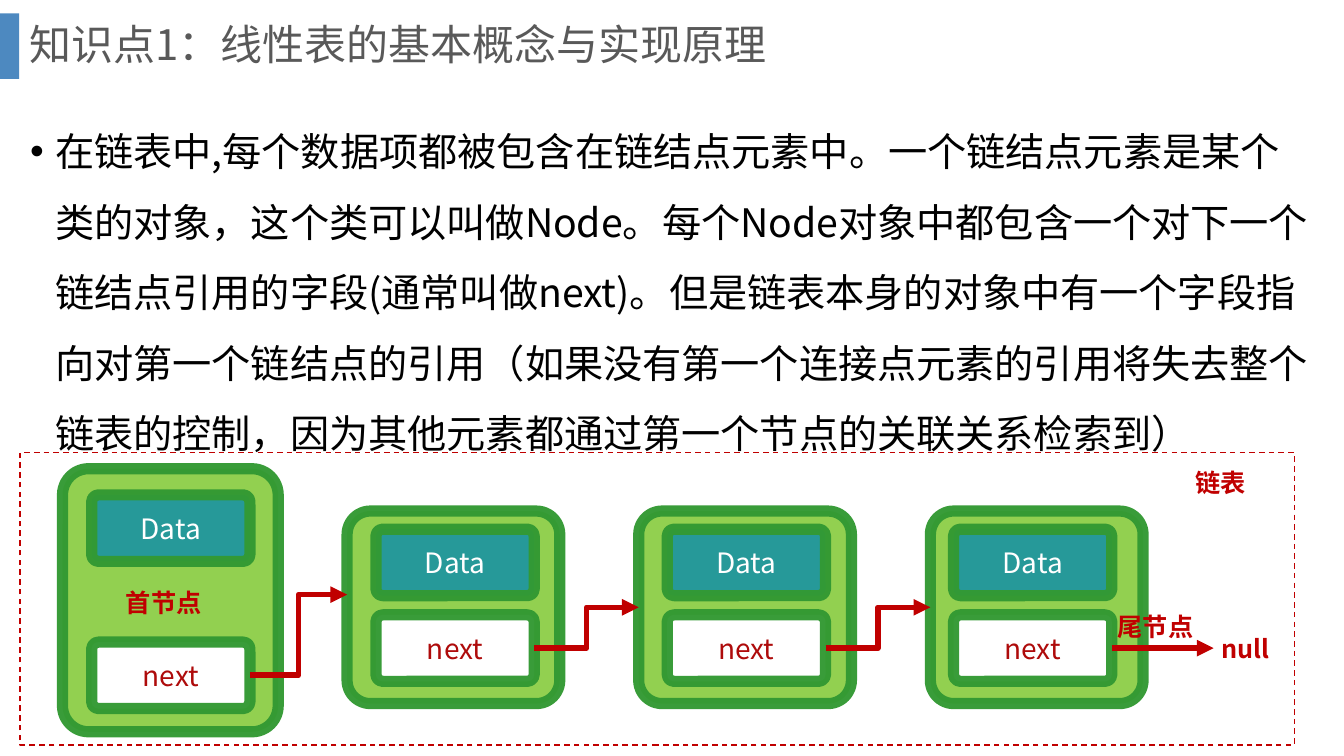
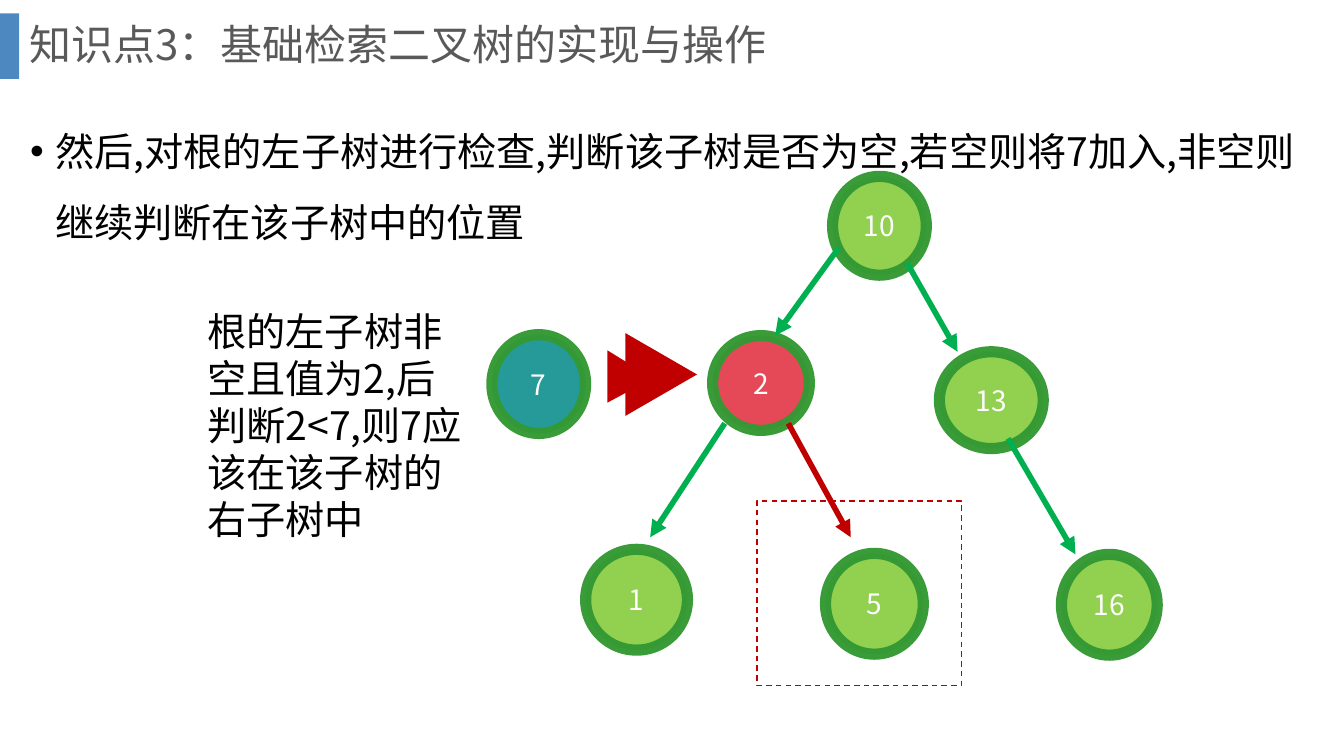
from dataclasses import dataclass
from typing import NamedTuple

from lxml import etree
from pptx import Presentation
from pptx.dml.color import RGBColor
from pptx.enum.dml import MSO_LINE
from pptx.enum.shapes import MSO_CONNECTOR, MSO_SHAPE
from pptx.enum.text import MSO_ANCHOR, MSO_AUTO_SIZE, PP_ALIGN
from pptx.oxml.ns import qn
from pptx.util import Emu, Inches, Pt

RECT, ROUND = MSO_SHAPE.RECTANGLE, MSO_SHAPE.ROUNDED_RECTANGLE
OVAL, TRIANGLE = MSO_SHAPE.OVAL, MSO_SHAPE.ISOSCELES_TRIANGLE
STRAIGHT, ELBOW = MSO_CONNECTOR.STRAIGHT, MSO_CONNECTOR.ELBOW
MIDDLE, TOP, CENTER = MSO_ANCHOR.MIDDLE, MSO_ANCHOR.TOP, PP_ALIGN.CENTER
LEFT_SIDE, RIGHT_SIDE = 1, 3

FONT = "Noto Sans CJK SC"
BLUE = RGBColor(0x2E, 0x75, 0xB6)
GREY = RGBColor(0x59, 0x59, 0x59)
BLACK = RGBColor(0, 0, 0)
WHITE = RGBColor(0xFF, 0xFF, 0xFF)
LIME = RGBColor(0x92, 0xD0, 0x50)
GREEN = RGBColor(0x33, 0x99, 0x33)
ARROW_GREEN = RGBColor(0x00, 0xB0, 0x50)
TEAL = RGBColor(0x26, 0x99, 0x99)
ROSE = RGBColor(0xE5, 0x49, 0x58)
RED = RGBColor(0xC0, 0x00, 0x00)
DARK_RED = RGBColor(0xAE, 0x0B, 0x0B)

TITLE = {"size": Pt(30), "color": GREY}
BODY = {"size": Pt(28), "color": BLACK}
LABEL = {"size": Pt(18), "color": RED, "bold": True}
ON_FILL = {"size": Pt(20), "color": WHITE}
ON_WHITE = {"size": Pt(20), "color": DARK_RED}

# The slide is a grid of square cells
COLS, ROWS = 40, 22.5
WIDTH, HEIGHT = Inches(13.333), Inches(7.5)


class Box(NamedTuple):
    """Left, top, width and height in grid cells."""
    x: float
    y: float
    w: float
    h: float

    def emu(self) -> tuple:
        return col(self.x), row(self.y), col(self.w), row(self.h)


@dataclass
class ListNode:
    box: Box
    cell_x: float
    data_y: float
    next_y: float


class TreeNode(NamedTuple):
    value: str
    box: Box
    fill: RGBColor = LIME


class Edge(NamedTuple):
    x1: float
    y1: float
    x2: float
    y2: float
    color: RGBColor = ARROW_GREEN


CELL_W, CELL_H = 4.71, 1.98
LINKED = [ListNode(Box(1.86, 13.95, 6.42, 7.83), 2.73, 14.73, 19.11)] + [
    ListNode(Box(10.33 + 8.68 * i, 15.21, 6.33, 5.73), cell_x, 15.75, 18.3)
    for i, cell_x in enumerate((11.19, 19.86, 28.38))]
FIRST_ENTRY_Y = 17.7
NULL_X = 36.12
LIST_LABELS = [("首节点", 3.45, 17.34), ("null", 36.06, 18.69),
               ("尾节点", 32.97, 18.06), ("链表", 35.28, 13.77)]

TREE = [
    TreeNode("10", Box(24.78, 5.25, 2.79, 2.94)),
    TreeNode("2", Box(21.21, 9.99, 2.88, 2.82), ROSE),
    TreeNode("13", Box(27.96, 10.47, 3.09, 2.88)),
    TreeNode("1", Box(17.43, 16.35, 3.03, 3)),
    TreeNode("5", Box(24.57, 16.47, 2.91, 3)),
    TreeNode("16", Box(31.59, 16.5, 2.85, 3)),
    TreeNode("7", Box(14.64, 9.96, 2.79, 2.94), TEAL),
]
EDGES = [
    Edge(24.96, 7.38, 23.07, 9.99),
    Edge(27, 7.83, 28.5, 10.47),
    Edge(21.57, 12.6, 19.35, 15.99),
    Edge(23.46, 12.6, 25.32, 15.99, RED),
    Edge(30, 13.05, 32.01, 16.5),
]
POINTERS = [(Box(18.45, 10.08, 2.46, 2.13), 0.5),
            (Box(17.97, 10.53, 1.56, 1.35), 0.534)]


def col(n: float) -> Emu:
    return Emu(round(WIDTH * n / COLS))


def row(n: float) -> Emu:
    return Emu(round(HEIGHT * n / ROWS))


def set_alpha(fill_parent, percent: int) -> None:
    for clr in fill_parent.findall(qn("a:solidFill") + "/" + qn("a:srgbClr")):
        etree.SubElement(clr, qn("a:alpha"), val=str(percent * 1000))


def write(tf, text: str, style: dict, **paragraph):
    """Put one styled run in the frame's first paragraph."""
    p = tf.paragraphs[0]
    for name, value in paragraph.items():
        setattr(p, name, value)
    r = p.add_run()
    r.text = text
    r.font.name = FONT
    for name, value in style.items():
        if name == "color":
            r.font.color.rgb = value
        else:
            setattr(r.font, name, value)
    etree.SubElement(r.font._element, qn("a:ea"), typeface=FONT)
    return p


def add_text(slide, box: Box, text: str, style: dict, anchor=TOP, grow=False, **paragraph):
    tf = slide.shapes.add_textbox(*box.emu()).text_frame
    tf.word_wrap = True
    tf.vertical_anchor = anchor
    if grow:
        tf.auto_size = MSO_AUTO_SIZE.SHAPE_TO_FIT_TEXT
    return write(tf, text, style, **paragraph)


def add_shape(slide, kind, box: Box, fill: RGBColor, adj: float | None = None):
    sp = slide.shapes.add_shape(kind, *box.emu())
    sp.shadow.inherit = False
    sp.fill.solid()
    sp.fill.fore_color.rgb = fill
    sp.line.fill.background()
    if adj is not None:
        sp.adjustments[0] = adj
    return sp


def add_framed(slide, kind, box: Box, fill: RGBColor, text: str = "",
               style: dict = ON_FILL, adj: float | None = None):
    """Shape with the thick green outline and an optional centred caption."""
    sp = add_shape(slide, kind, box, fill, adj)
    sp.line.color.rgb = GREEN
    sp.line.width = Pt(8)
    set_alpha(sp.element.spPr.find(qn("a:ln")), 96)
    if text:
        sp.text_frame.vertical_anchor = MIDDLE
        write(sp.text_frame, text, style, alignment=CENTER)
    return sp


def add_dashed_box(slide, box: Box) -> None:
    sp = add_shape(slide, RECT, box, WHITE)
    sp.fill.background()
    sp.line.color.rgb = RED
    sp.line.width = Pt(1)
    sp.line.dash_style = MSO_LINE.DASH


def add_arrow(slide, edge: Edge, kind=STRAIGHT):
    cxn = slide.shapes.add_connector(kind, col(edge.x1), row(edge.y1),
                                     col(edge.x2), row(edge.y2))
    cxn.line.color.rgb = edge.color
    cxn.line.width = Pt(4)
    spPr = cxn.element.spPr
    etree.SubElement(spPr.find(qn("a:ln")), qn("a:tailEnd"), type="triangle")
    etree.SubElement(spPr, qn("a:effectLst"))
    return cxn


def add_content_slide(prs, title: str, body: str):
    """Blank slide with the blue title tab, the title and one bullet."""
    slide = prs.slides.add_slide(prs.slide_layouts[6])
    tab = add_shape(slide, RECT, Box(0, 0.4, 0.57, 1.95), BLUE)
    set_alpha(tab.element.spPr, 85)
    add_text(slide, Box(0.57, 0, 37.98, 2.79), title, TITLE, MIDDLE, line_spacing=0.9)
    p = add_text(slide, Box(0.6, 2.94, 38.7, 17.88), body, BODY, line_spacing=1.5)
    pPr = p._p.get_or_add_pPr()
    pPr.set("marL", str(Inches(0.25)))
    pPr.set("indent", str(-Inches(0.25)))
    etree.SubElement(pPr, qn("a:buFont"), typeface="Arial")
    etree.SubElement(pPr, qn("a:buChar"), char="•")
    return slide


def add_linked_list(slide) -> None:
    outers, nexts = [], []
    for node in LINKED:
        outers.append(add_framed(slide, ROUND, node.box, LIME, adj=0.121))
        add_framed(slide, ROUND, Box(node.cell_x, node.data_y, CELL_W, CELL_H),
                   TEAL, "Data", adj=0.101)
        nexts.append(add_framed(slide, ROUND, Box(node.cell_x, node.next_y, CELL_W, CELL_H),
                                WHITE, "next", ON_WHITE, adj=0.101))
    add_dashed_box(slide, Box(0.6, 13.47, 37.92, 8.7))

    for i, (node, source) in enumerate(zip(LINKED, nexts)):
        x, y = node.cell_x + CELL_W, node.next_y + CELL_H / 2
        if i + 1 == len(LINKED):
            cxn = add_arrow(slide, Edge(x, y, NULL_X, y, RED))
        else:
            target = LINKED[i + 1].box
            cxn = add_arrow(slide, Edge(x, y, target.x, FIRST_ENTRY_Y, RED), ELBOW)
            if i > 0:
                cxn.end_connect(outers[i + 1], LEFT_SIDE)
        cxn.begin_connect(source, RIGHT_SIDE)
    for text, x, y in LIST_LABELS:
        add_text(slide, Box(x, y, 3.24, 1.2), text, LABEL, grow=True)


def add_search_tree(slide) -> None:
    for node in TREE:
        add_framed(slide, OVAL, node.box, node.fill, node.value)
    for edge in EDGES:
        add_arrow(slide, edge)
    for box, adj in POINTERS:
        add_shape(slide, TRIANGLE, box, RED, adj).rotation = 90
    add_dashed_box(slide, Box(22.53, 14.91, 6.09, 5.49))
    add_text(slide, Box(5.88, 9, 8.37, 7.38),
             "根的左子树非空且值为2,后判断2<7,则7应该在该子树的右子树中", BODY, grow=True)


def main() -> None:
    prs = Presentation()
    prs.slide_width, prs.slide_height = WIDTH, HEIGHT
    add_linked_list(add_content_slide(
        prs, "知识点1：线性表的基本概念与实现原理",
        "在链表中,每个数据项都被包含在链结点元素中。一个链结点元素是某个类的对象，"
        "这个类可以叫做Node。每个Node对象中都包含一个对下一个链结点引用的字段"
        "(通常叫做next)。但是链表本身的对象中有一个字段指向对第一个链结点的引用"
        "（如果没有第一个连接点元素的引用将失去整个链表的控制，"
        "因为其他元素都通过第一个节点的关联关系检索到）"))
    add_search_tree(add_content_slide(
        prs, "知识点3：基础检索二叉树的实现与操作",
        "然后,对根的左子树进行检查,判断该子树是否为空,若空则将7加入,"
        "非空则继续判断在该子树中的位置"))
    prs.save("out.pptx")


if __name__ == "__main__":
    main()
